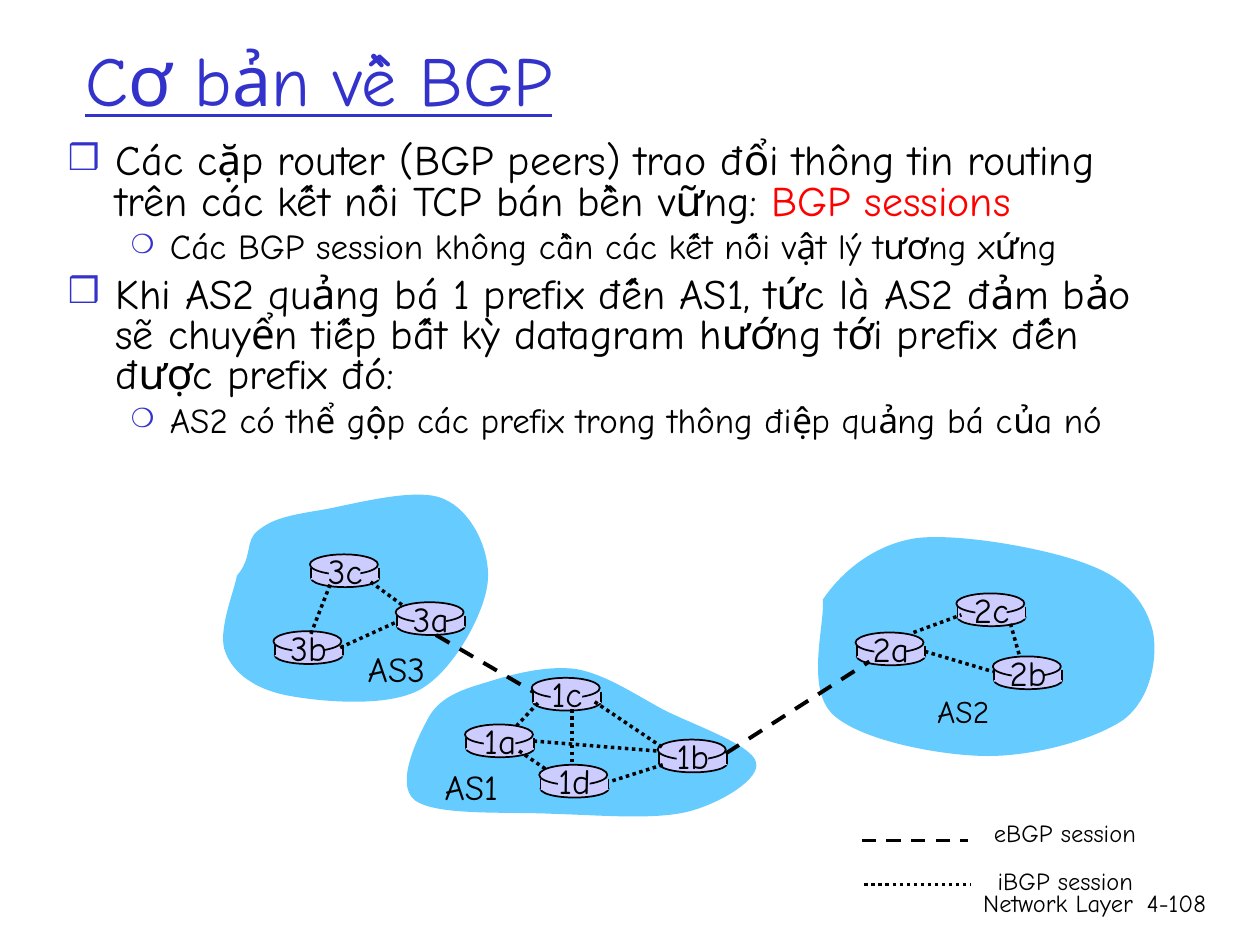
import pptx
import pptx.dml.color
import pptx.enum.dml
import pptx.enum.shapes
import pptx.enum.text
import pptx.oxml
import pptx.oxml.ns
import pptx.util
import lxml.etree

RGBColor = pptx.dml.color.RGBColor
BLACK = RGBColor(0x00, 0x00, 0x00)
BLUE = RGBColor(0x33, 0x33, 0xCC)
RED = RGBColor(0xFF, 0x00, 0x00)
SKY = RGBColor(0x66, 0xCC, 0xFF)
LILAC = RGBColor(0xCC, 0xCC, 0xFF)
FONT = "Comic Neue"
SHAPE = pptx.enum.shapes.MSO_SHAPE
ALIGN = pptx.enum.text.PP_ALIGN
DASH = pptx.enum.dml.MSO_LINE.DASH
DOT = pptx.enum.dml.MSO_LINE.ROUND_DOT  # sysDot
qn = pptx.oxml.ns.qn

# Each outline is a start point followed by cubic curves (two controls, end),
# in inches from the corner of its region.
AS3 = dict(
    outline=[(.16, .71),
             (.29, .56), (.22, .43), (.33, .35), (.44, .26), (.57, .23), (.82, .19),
             (1.06, .15), (1.58, 0), (1.8, .1), (2.02, .19), (2.18, .51), (2.15, .77),
             (2.12, 1.02), (1.88, 1.46), (1.62, 1.61), (1.36, 1.76), (.82, 1.71), (.56, 1.66),
             (.3, 1.61), (.13, 1.48), (.07, 1.32), (0, 1.16), (.14, .83), (.16, .71)],
    routers={"3b": (.45, 1.15), "3a": (1.42, .92), "3c": (.74, .54)},
    sessions=[(.98, 1.28, 1.42, 1.08), (1.47, .94, 1.21, .75), (.9, .78, .74, 1.19)],
    label=("AS3", 1.1, 1.23, .8, 20))
AS1 = dict(
    outline=[(.28, .4),
             (.38, .24), (.55, .19), (.75, .13), (.94, .07), (1.21, 0), (1.44, .03),
             (1.67, .07), (1.89, .22), (2.13, .35), (2.36, .47), (2.84, .63), (2.87, .77),
             (2.91, .9), (2.6, 1.09), (2.34, 1.16), (2.07, 1.23), (1.63, 1.19), (1.27, 1.18),
             (.9, 1.16), (.33, 1.2), (.16, 1.07), (0, .94), (.19, .56), (.28, .4)],
    routers={"1d": (1.15, .79), "1c": (1.09, .1), "1a": (.56, .47), "1b": (2.09, .59)},
    sessions=[(1.14, .3, .97, .48), (1.41, .35, 1.41, .77), (1.59, .29, 2.14, .66),
              (2.13, .79, 1.72, .92), (2.08, .68, 1.09, .6), (.99, .68, 1.21, .83)],
    label=("AS1", .3, .75, .8, 20))
AS2 = dict(
    outline=[(.14, .53),
             (.28, .32), (.54, .09), (.89, .04), (1.24, 0), (1.96, .13), (2.27, .26),
             (2.58, .38), (2.71, .58), (2.76, .78), (2.8, .98), (2.75, 1.31), (2.53, 1.48),
             (2.3, 1.64), (1.8, 1.78), (1.41, 1.77), (1.03, 1.76), (.43, 1.64), (.22, 1.44),
             (0, 1.23), (.16, .72), (.14, .53)],
    routers={"2a": (.4, .79), "2c": (1.2, .48), "2b": (1.49, .98)},
    sessions=[(.95, .94, 1.49, 1.1), (.86, .79, 1.24, .65), (1.63, .72, 1.7, .97)],
    label=("AS2", .95, 1.21, .8, 18))

BODY = [
    (0, [("Các cặp router (BGP peers) trao đổi thông tin routing trên các kết nối "
          "TCP bán bền vững: ", BLACK), ("BGP sessions", RED)]),
    (1, [("Các BGP session không cần các kết nối vật lý tương xứng", BLACK)]),
    (0, [("Khi AS2 quảng bá 1 prefix đến AS1, tức là AS2 đảm bảo sẽ chuyển tiếp bất kỳ "
          "datagram hướng tới prefix đến được prefix đó:", BLACK)]),
    (1, [("AS2 có thể gộp các prefix trong thông điệp quảng bá của nó", BLACK)]),
]
# level: (indent, hanging, bullet, bullet size %, text size, space before)
LEVELS = [(.38, .38, "❒", 85, 24, 6), (.81, .31, "❍", 75, 20, 5)]


def cm(inches):
    return pptx.util.Cm(inches * 2.54)


def add_run(p, text, size, color=BLACK):
    r = p.add_run()
    r.text = text
    r.font.name = FONT
    r.font.size = pptx.util.Pt(size)
    r.font.color.rgb = color
    return r


def add_box(s, left, top, width, height):
    tf = s.shapes.add_textbox(cm(left), cm(top), cm(width), cm(height)).text_frame
    tf.word_wrap = True
    return tf


def add_label(s, text, left, top, width, size, align=ALIGN.LEFT):
    p = add_box(s, left, top, width, size / 60 + .1).paragraphs[0]
    p.alignment = align
    add_run(p, text, size)


def add_line(s, x1, y1, x2, y2, width, dash=None):
    line = s.shapes.add_connector(pptx.enum.shapes.MSO_CONNECTOR.STRAIGHT,
                                  cm(x1), cm(y1), cm(x2), cm(y2))
    line.line.color.rgb = BLACK
    line.line.width = pptx.util.Pt(width)
    if dash:
        line.line.dash_style = dash
    lxml.etree.SubElement(line._element.spPr, qn("a:effectLst"))


def paint(sp, fill, outlined=False):
    sp.shadow.inherit = False
    sp.fill.solid()
    sp.fill.fore_color.rgb = fill
    if outlined:
        sp.line.color.rgb = BLACK
        sp.line.width = pptx.util.Pt(1)
    else:
        sp.line.fill.background()


def add_cloud(s, left, top, outline):
    """Builds a straight outline, then turns each three segments into a curve."""
    points = [(cm(left + x), cm(top + y)) for x, y in outline]
    builder = s.shapes.build_freeform(*points[0])
    builder.add_line_segments(points[1:], close=True)
    sp = builder.convert_to_shape()
    paint(sp, SKY)
    segments = list(sp._element.iter(qn("a:lnTo")))
    for i in range(0, len(segments), 3):
        curve = pptx.oxml.parse_xml(
            f'<a:cubicBezTo {pptx.oxml.ns.nsdecls("a")}/>')
        segments[i].addprevious(curve)
        for segment in segments[i:i + 3]:
            curve.append(segment[0])
            segment.getparent().remove(segment)


def add_router(s, name, left, top):
    def part(kind, x, y, width, height, outlined=False):
        sp = s.shapes.add_shape(kind, cm(left + x), cm(top + y), cm(width), cm(height))
        paint(sp, LILAC, outlined)

    part(SHAPE.OVAL, .01, .12, .54, .14, True)
    part(SHAPE.RECTANGLE, .01, .11, .54, .09)
    for x in (left + .01, left + .55):
        add_line(s, x, top + .11, x, top + .19, 1)
    part(SHAPE.OVAL, 0, 0, .54, .16, True)
    part(SHAPE.RECTANGLE, .15, .02, .25, .21)
    add_label(s, name, left - .07, top - .09, .7, 20, ALIGN.CENTER)


def add_autonomous_system(s, left, top, outline, routers, sessions, label):
    add_cloud(s, left, top, outline)
    for name, (x, y) in routers.items():
        add_router(s, name, left + x, top + y)
    for x1, y1, x2, y2 in sessions:
        add_line(s, left + x1, top + y1, left + x2, top + y2, 2, DOT)
    text, x, y, width, size = label
    add_label(s, text, left + x, top + y, width, size)


def add_legend(s, left, top):
    add_line(s, left, top + .23, left + .84, top + .23, 2, DASH)
    add_line(s, left + .02, top + .58, left + .86, top + .58, 2, DOT)
    add_label(s, "eBGP session", left + .95, top, 1.6, 14)
    add_label(s, "iBGP session", left + .98, top + .38, 1.6, 14)


def add_title(s, left, top, width, height):
    tf = add_box(s, left, top, width, height)
    tf.vertical_anchor = pptx.enum.text.MSO_ANCHOR.MIDDLE
    add_run(tf.paragraphs[0], "Cơ bản về BGP", 40, BLUE).font.underline = True


def add_body(s, left, top, width, height):
    tf = add_box(s, left, top, width, height)
    for i, (level, runs) in enumerate(BODY):
        indent, hanging, bullet, percent, size, before = LEVELS[level]
        p = tf.add_paragraph() if i else tf.paragraphs[0]
        pPr = p._p.get_or_add_pPr()
        pPr.set("marL", str(cm(indent)))
        pPr.set("indent", str(-cm(hanging)))
        color = lxml.etree.SubElement(pPr, qn("a:buClr"))
        lxml.etree.SubElement(color, qn("a:srgbClr"), val=str(BLUE))
        lxml.etree.SubElement(pPr, qn("a:buSzPct"), val=str(percent * 1000))
        lxml.etree.SubElement(pPr, qn("a:buFont"), typeface=FONT)
        lxml.etree.SubElement(pPr, qn("a:buChar"), char=bullet)
        p.level = level
        p.line_spacing = .8
        p.space_before = pptx.util.Pt(before if i else 0)
        for text, run_color in runs:
            add_run(p, text, size, run_color)


def add_footer(s, left, top, height):
    for text, x, width in (("Network Layer", 0, 3.17), ("4-108", 3.01, .74)):
        p = add_box(s, left + x, top, width, height).paragraphs[0]
        p.alignment = ALIGN.RIGHT
        add_run(p, text, 14)


def main():
    prs = pptx.Presentation()
    prs.slide_width, prs.slide_height = cm(10), cm(7.5)
    s = prs.slides.add_slide(prs.slide_layouts[6])
    add_footer(s, 5.92, 7, .5)
    add_title(s, .58, 0, 8.5, 1.25)
    add_autonomous_system(s, 6.39, 4.23, **AS2)
    add_autonomous_system(s, 1.72, 3.86, **AS3)
    add_autonomous_system(s, 3.13, 5.28, **AS1)
    add_line(s, 3.46, 5.04, 4.23, 5.49, 2.25, DASH)
    add_line(s, 5.76, 5.98, 6.9, 5.25, 2.25, DASH)
    add_legend(s, 6.84, 6.44)
    add_body(s, .44, 1.09, 8.64, 2.53)
    prs.save("out.pptx")


if __name__ == "__main__":
    main()
